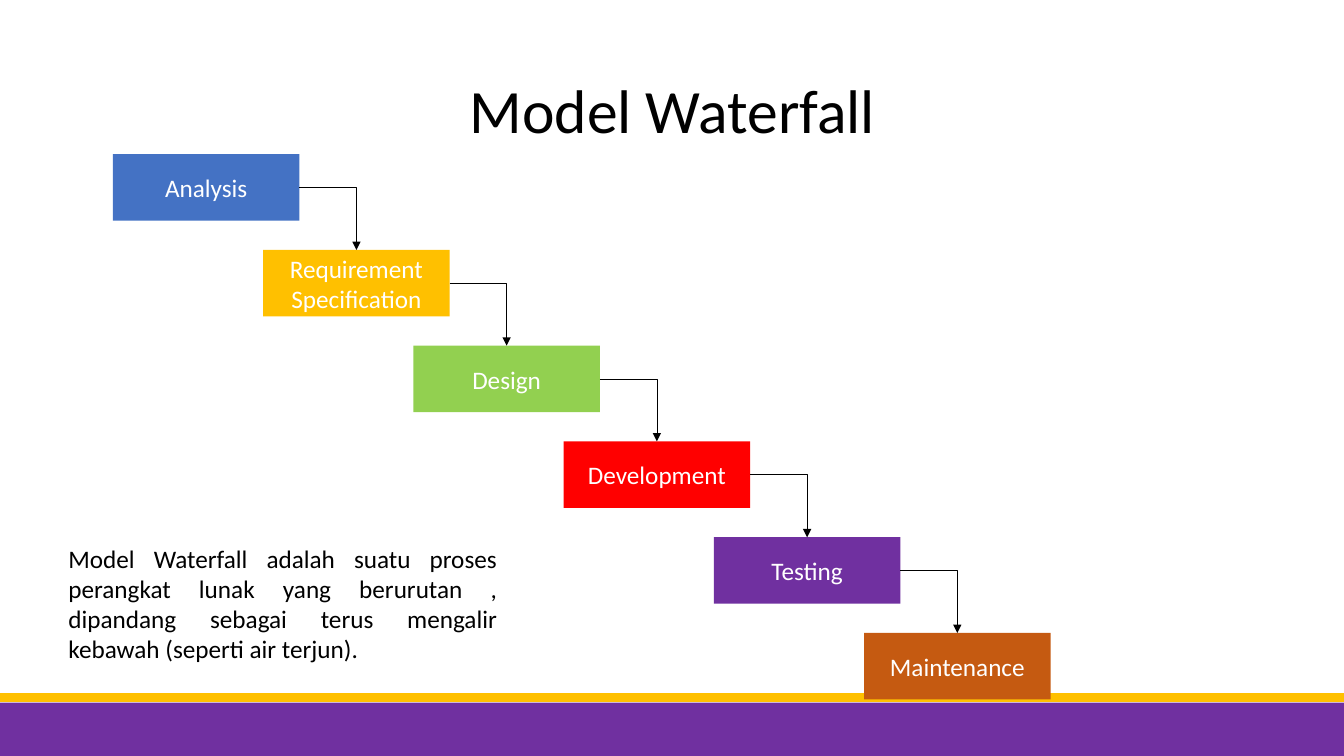
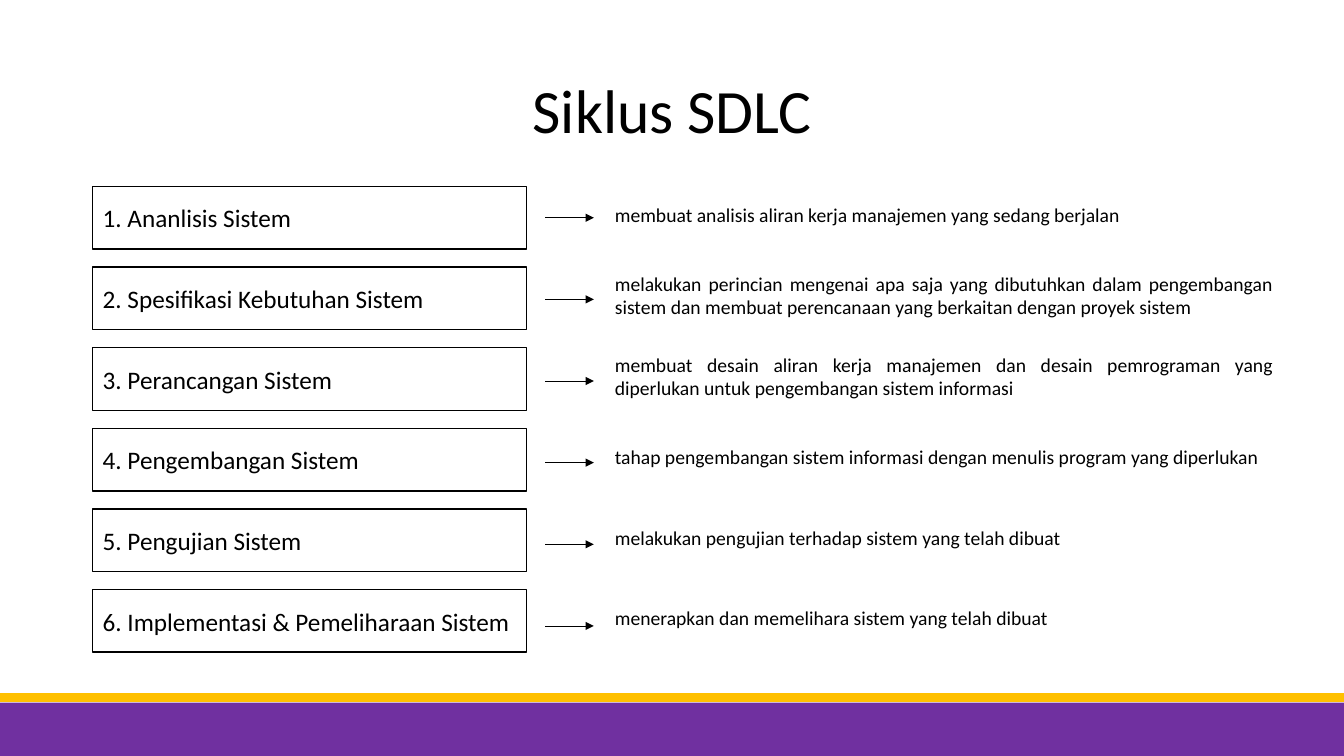
from dataclasses import dataclass

from pptx import Presentation
from pptx.dml.color import RGBColor
from pptx.enum.shapes import MSO_CONNECTOR, MSO_SHAPE
from pptx.enum.text import MSO_ANCHOR, PP_ALIGN
from pptx.oxml.ns import qn
from pptx.oxml.xmlchemy import OxmlElement
from pptx.presentation import Presentation as Deck
from pptx.shapes.autoshape import Shape
from pptx.shapes.connector import Connector
from pptx.slide import Slide
from pptx.text.text import TextFrame
from pptx.util import Inches, Pt

RECTANGLE = MSO_SHAPE.RECTANGLE
STRAIGHT, ELBOW = MSO_CONNECTOR.STRAIGHT, MSO_CONNECTOR.ELBOW
CENTER, JUSTIFY = PP_ALIGN.CENTER, PP_ALIGN.JUSTIFY
MIDDLE = MSO_ANCHOR.MIDDLE
TOP_SIDE, RIGHT_SIDE = 0, 3
TITLE_ONLY = 5


@dataclass(frozen=True)
class Theme:
    font: str = "Calibri"
    black: str = "000000"
    white: str = "FFFFFF"
    purple: str = "7030A0"
    gold: str = "FFC000"
    blue: str = "4472C4"
    green: str = "92D050"
    red: str = "FF0000"
    brown: str = "C55A11"
    title_size: int = 44
    label_size: int = 18
    detail_size: int = 14
    outline: float = 1
    arrow: float = 0.5
    stripe: float = 6


THEME = Theme()
SLIDE_WIDTH, SLIDE_HEIGHT = 13.33, 7.5


@dataclass(frozen=True)
class Box:
    left: float
    top: float
    width: float
    height: float


@dataclass(frozen=True)
class Phase:
    name: str
    color: str


@dataclass(frozen=True)
class Stage:
    name: str
    detail: str
    detail_height: float = 0.4


PHASES = (
    Phase("Analysis", THEME.blue),
    Phase("Requirement Specification", THEME.gold),
    Phase("Design", THEME.green),
    Phase("Development", THEME.red),
    Phase("Testing", THEME.purple),
    Phase("Maintenance", THEME.brown),
)
WATERFALL_SUMMARY = (
    "Model Waterfall adalah suatu proses perangkat lunak yang berurutan , "
    "dipandang sebagai terus mengalir kebawah (seperti air terjun)."
)
STAGES = (
    Stage("1. Ananlisis Sistem",
          "membuat analisis aliran kerja manajemen yang sedang berjalan"),
    Stage("2. Spesifikasi Kebutuhan Sistem",
          "melakukan perincian mengenai apa saja yang dibutuhkan dalam pengembangan "
          "sistem dan membuat perencanaan yang berkaitan dengan proyek sistem", 0.62),
    Stage("3. Perancangan Sistem",
          "membuat desain aliran kerja manajemen dan desain pemrograman yang "
          "diperlukan untuk pengembangan sistem informasi", 0.62),
    Stage("4. Pengembangan Sistem",
          "tahap pengembangan sistem informasi dengan menulis program yang diperlukan"),
    Stage("5. Pengujian Sistem",
          "melakukan pengujian terhadap sistem yang telah dibuat"),
    Stage("6. Implementasi & Pemeliharaan Sistem",
          "menerapkan dan memelihara sistem yang telah dibuat"),
)


def write(frame: TextFrame, text: str, size: int, color: str, align: PP_ALIGN) -> None:
    frame.word_wrap = True
    frame.vertical_anchor = MIDDLE
    paragraph = frame.paragraphs[0]
    paragraph.alignment = align
    run = paragraph.add_run()
    run.text = text
    run.font.name = THEME.font
    run.font.size = Pt(size)
    run.font.color.rgb = RGBColor.from_string(color)


def add_rectangle(slide: Slide, box: Box, fill: str, outline: str | None = None) -> Shape:
    rectangle = slide.shapes.add_shape(
        RECTANGLE, Inches(box.left), Inches(box.top), Inches(box.width), Inches(box.height))
    rectangle.shadow.inherit = False
    rectangle.fill.solid()
    rectangle.fill.fore_color.rgb = RGBColor.from_string(fill)
    if outline:
        rectangle.line.color.rgb = RGBColor.from_string(outline)
        rectangle.line.width = Pt(THEME.outline)
    else:
        rectangle.line.fill.background()
    return rectangle


def add_line(slide: Slide, kind: MSO_CONNECTOR, start: tuple[float, float],
             end: tuple[float, float], color: str, width: float) -> Connector:
    line = slide.shapes.add_connector(
        kind, Inches(start[0]), Inches(start[1]), Inches(end[0]), Inches(end[1]))
    line.line.color.rgb = RGBColor.from_string(color)
    line.line.width = Pt(width)
    line._element.spPr.append(OxmlElement("a:effectLst"))
    return line


def add_arrow(slide: Slide, kind: MSO_CONNECTOR, start: tuple[float, float] = (0, 0),
              end: tuple[float, float] = (0, 0)) -> Connector:
    arrow = add_line(slide, kind, start, end, THEME.black, THEME.arrow)
    head = OxmlElement("a:tailEnd")
    head.set("type", "triangle")
    arrow.line._get_or_add_ln().append(head)
    return arrow


def add_bent_arrow(slide: Slide, source: Shape, target: Shape) -> None:
    """Run from the right side of source, with one bend, down to the top of target."""
    arrow = add_arrow(slide, ELBOW)
    arrow.begin_connect(source, RIGHT_SIDE)
    arrow.end_connect(target, TOP_SIDE)
    arrow._element.spPr.find(qn("a:prstGeom")).set("prst", "bentConnector2")


def add_titled_slide(deck: Deck, heading: str) -> Slide:
    """Add a slide with the shared title style and footer band."""
    slide = deck.slides.add_slide(deck.slide_layouts[TITLE_ONLY])
    title = slide.shapes.title
    title.left, title.top = Inches(0.92), Inches(0.4)
    title.width, title.height = Inches(11.5), Inches(1.45)
    write(title.text_frame, heading, THEME.title_size, THEME.black, CENTER)
    title.text_frame.paragraphs[0].line_spacing = 0.9
    add_rectangle(slide, Box(0, 6.97, SLIDE_WIDTH, 0.53), THEME.purple)
    add_line(slide, STRAIGHT, (0, 6.92), (SLIDE_WIDTH, 6.92), THEME.gold, THEME.stripe)
    return slide


def build_waterfall(deck: Deck) -> None:
    slide = add_titled_slide(deck, "Model Waterfall")
    steps = []
    for index, phase in enumerate(PHASES):
        box = Box(1.12 + 1.49 * index, 1.53 + 0.95 * index, 1.85, 0.66)
        step = add_rectangle(slide, box, phase.color)
        write(step.text_frame, phase.name, THEME.label_size, THEME.white, CENTER)
        steps.append(step)
    for source, target in zip(steps, steps[1:]):
        add_bent_arrow(slide, source, target)
    summary = add_rectangle(slide, Box(0.58, 5.26, 4.45, 1.45), THEME.white)
    write(summary.text_frame, WATERFALL_SUMMARY, THEME.label_size, THEME.black, JUSTIFY)


def build_cycle(deck: Deck) -> None:
    slide = add_titled_slide(deck, "Siklus SDLC")
    for index, stage in enumerate(STAGES):
        name = add_rectangle(
            slide, Box(0.92, 1.85 + 0.8 * index, 4.3, 0.62), THEME.white, THEME.black)
        write(name.text_frame, stage.name, THEME.label_size, THEME.black, JUSTIFY)
        detail_top = 2.13 + 0.8 * index - stage.detail_height / 2
        detail = add_rectangle(
            slide, Box(6, detail_top, 6.73, stage.detail_height), THEME.white)
        write(detail.text_frame, stage.detail, THEME.detail_size, THEME.black, JUSTIFY)
        arrow_y = 2.16 + 0.81 * index
        add_arrow(slide, STRAIGHT, (5.41, arrow_y), (5.89, arrow_y))


def main() -> None:
    deck = Presentation()
    deck.slide_width, deck.slide_height = Inches(SLIDE_WIDTH), Inches(SLIDE_HEIGHT)
    build_waterfall(deck)
    build_cycle(deck)
    deck.save("out.pptx")


if __name__ == "__main__":
    main()
